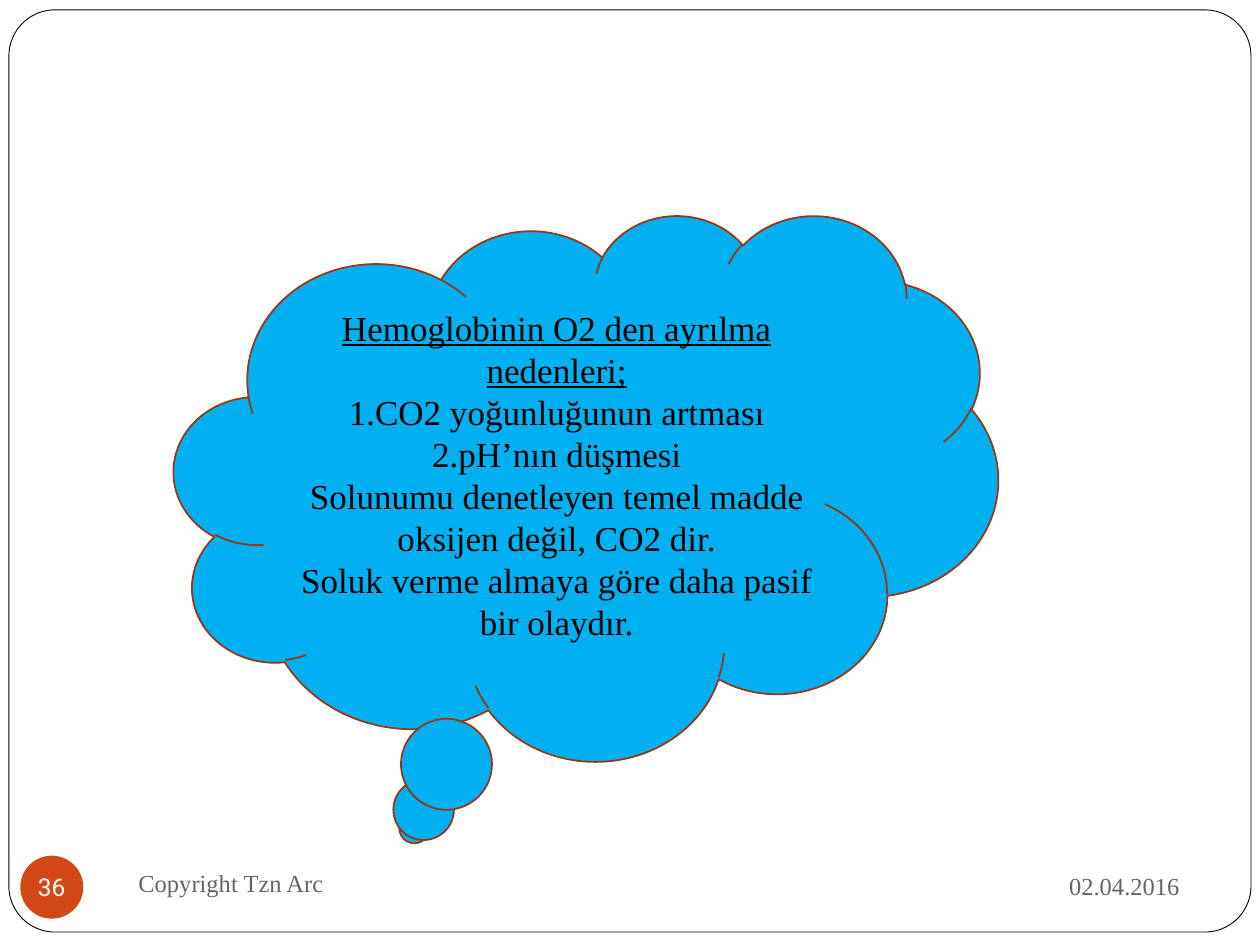
from dataclasses import dataclass

import pptx
import pptx.util
from pptx.dml.color import RGBColor
from pptx.enum.shapes import MSO_SHAPE
from pptx.enum.text import MSO_ANCHOR, PP_ALIGN
from pptx.util import Cm


@dataclass(frozen=True)
class Theme:
    paper: str = "FFFFFF"
    ink: str = "000000"
    cloud: str = "00B0F0"
    cloud_line: str = "9C3511"
    muted: str = "696464"
    badge: str = "D34817"
    serif: str = "Times New Roman"
    sans: str = "Roboto"
    body_size: int = 20
    footer_size: int = 14


@dataclass(frozen=True)
class Box:
    """A rectangle in centimetres."""
    left: float
    top: float
    width: float
    height: float

    def inner(self, left, top, width, height):
        """Return a box whose offset is measured from this box."""
        return Box(self.left + left, self.top + top, width, height)

    def lengths(self):
        return Cm(self.left), Cm(self.top), Cm(self.width), Cm(self.height)


THEME = Theme()
CLOUD_LINES = [
    "Hemoglobinin O2 den ayrılma nedenleri;",
    "1.CO2 yoğunluğunun artması",
    "2.pH’nın düşmesi",
    "Solunumu denetleyen temel madde oksijen değil, CO2 dir.",
    "Soluk verme almaya göre daha pasif bir olaydır.",
]


def add_filled_shape(page, kind, box, fill, line=None, line_width=1):
    shape = page.shapes.add_shape(kind, *box.lengths())
    shape.shadow.inherit = False
    shape.fill.solid()
    shape.fill.fore_color.rgb = RGBColor.from_string(fill)
    if line:
        shape.line.color.rgb = RGBColor.from_string(line)
        shape.line.width = pptx.util.Pt(line_width)
    else:
        shape.line.fill.background()
    return shape


def write_text(shape, lines, size, colour, align, font=THEME.serif):
    frame = shape.text_frame
    frame.text = "\n".join(lines)
    frame.word_wrap = True
    frame.vertical_anchor = MSO_ANCHOR.MIDDLE
    for para in frame.paragraphs:
        para.alignment = align
        for span in para.runs:
            span.font.name = font
            span.font.size = pptx.util.Pt(size)
            span.font.color.rgb = RGBColor.from_string(colour)
    return frame


def draw_frame(page, box):
    frame = add_filled_shape(page, MSO_SHAPE.ROUNDED_RECTANGLE, box,
                             THEME.paper, THEME.ink, 0.5)
    frame.adjustments[0] = 0.05


def draw_thought_cloud(page, box, lines):
    cloud = add_filled_shape(page, MSO_SHAPE.CLOUD_CALLOUT, box,
                             THEME.cloud, THEME.cloud_line)
    frame = write_text(cloud, lines, THEME.body_size, THEME.ink, PP_ALIGN.CENTER)
    frame.paragraphs[0].runs[0].font.underline = True


def draw_footer(page, box, number, owner, date):
    """Place the date at the right, the owner line and the number badge at the left."""
    date_width = 6.88
    labels = [
        (date, box.inner(box.width - date_width, 0.05, date_width, 1.32), PP_ALIGN.RIGHT),
        (owner, box.inner(2.13, 0, 11, 1.27), PP_ALIGN.LEFT),
    ]
    for text, place, align in labels:
        label = page.shapes.add_textbox(*place.lengths())
        write_text(label, [text], THEME.footer_size, THEME.muted, align)

    badge = add_filled_shape(page, MSO_SHAPE.OVAL, box.inner(0, 0.1, 1.27, 1.27), THEME.badge)
    frame = write_text(badge, [number], THEME.footer_size, THEME.paper,
                       PP_ALIGN.CENTER, THEME.sans)
    frame.word_wrap = False
    frame.margin_left = frame.margin_right = frame.margin_top = frame.margin_bottom = 0


def main():
    deck = pptx.Presentation()
    deck.slide_width, deck.slide_height = Cm(25.4), Cm(19.05)
    page = deck.slides.add_slide(deck.slide_layouts[6])
    draw_frame(page, Box(0.18, 0.2, 25.04, 18.59))
    draw_thought_cloud(page, Box(3.51, 4.32, 16.61, 11), CLOUD_LINES)
    draw_footer(page, Box(0.41, 17.15, 23.62, 1.37), "36", "Copyright Tzn Arc", "02.04.2016")
    deck.save("out.pptx")


if __name__ == "__main__":
    main()
